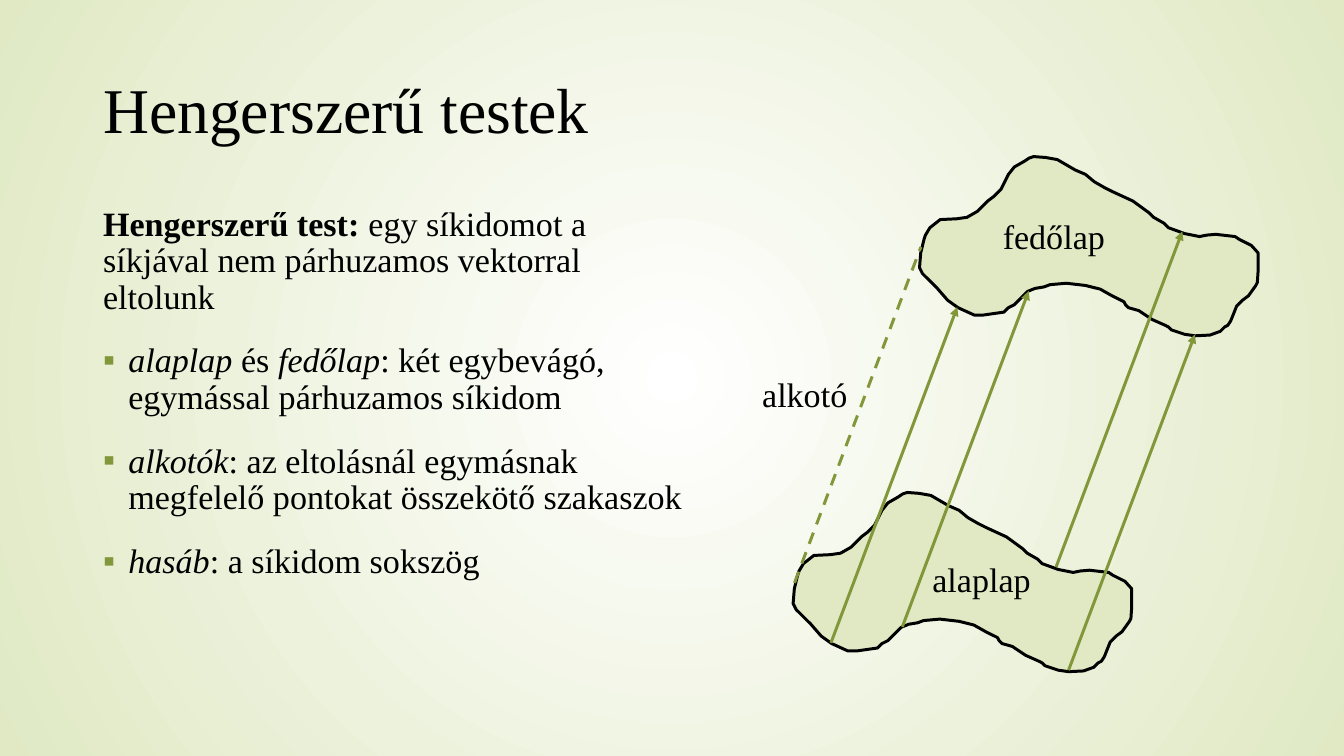
from math import cos, radians, sin

from lxml import etree
from pptx import Presentation
from pptx.dml.color import RGBColor
from pptx.enum.dml import MSO_LINE
from pptx.enum.shapes import MSO_CONNECTOR
from pptx.enum.text import MSO_ANCHOR, MSO_AUTO_SIZE, PP_ALIGN
from pptx.oxml.ns import qn
from pptx.util import Pt

STRAIGHT = MSO_CONNECTOR.STRAIGHT
DASH = MSO_LINE.DASH
MIDDLE, LEFT = MSO_ANCHOR.MIDDLE, PP_ALIGN.LEFT
NO_FIT = MSO_AUTO_SIZE.NONE

COLORS = {"text": "000000", "centre": "FFFFFF", "edge": "E0E9C4",
          "face": "E0E9C4", "outline": "000000", "accent": "819739"}
FONT = "Times New Roman"
BODY_SIZE = 23
INDENT = 17

# Each paragraph: bulleted or not, then runs of (text, style)
BODY = [
    (False, [("Hengerszerű test: ", "b"),
             ("egy síkidomot a síkjával nem párhuzamos vektorral eltolunk", "")]),
    (True, [("alaplap", "i"), (" és ", ""), ("fedőlap", "i"),
            (": két egybevágó, egymással párhuzamos síkidom", "")]),
    (True, [("alkotók", "i"),
            (": az eltolásnál egymásnak megfelelő pontokat összekötő szakaszok", "")]),
    (True, [("hasáb", "i"), (": a síkidom sokszög", "")]),
]

# Outline of the tilted plane figure, in points from its top left corner
FACE = [
    (216, 56), (213, 54), (200, 52.5), (194, 53), (189, 54), (179, 52), (168, 48),
    (165, 45), (158, 41), (155, 38), (144, 30), (131, 24), (125, 21), (118, 17),
    (112, 12), (105, 9), (93, 2), (85, 0.6), (77, 0), (74, 1), (71, 3), (64, 7),
    (60, 12), (55, 22), (50, 27), (46, 30), (41, 35), (39, 37), (32, 41), (25, 42),
    (14, 42.5), (7, 48), (4, 53), (3, 56), (0.8, 65), (0, 75), (2, 79), (12, 89),
    (19, 97), (26, 102), (37, 107), (43, 107), (57, 105), (60, 102), (62, 101),
    (64, 100), (66, 98), (73, 91), (78, 89), (84, 88), (88, 86.5), (99, 85.5),
    (112, 87), (122, 89.5), (130, 94), (138, 98), (139, 100), (141, 102), (148, 104),
    (151, 106), (157, 110), (166, 114), (168, 115), (170, 117), (179, 120),
    (186, 121), (196, 120.5), (203, 118), (206, 115), (208, 114), (210, 111),
    (214, 101), (216, 99), (218, 97), (222, 94), (227, 87), (228, 85), (228.5, 78),
    (228.5, 65), (224, 60), (220, 58),
]
FACE_CENTRE = (116.3, 63.7)
TILT = 10.7
SHIFT = (85.3, -226.8)  # translation from the base to the top face
ARROW_STARTS = [(25.6, 101.5), (73.8, 90.7), (177.5, 50.4), (186, 120)]
DASHED_START = (1, 61)


def rgb(name):
    return RGBColor.from_string(COLORS[name])


def style_run(r, size, style=""):
    r.font.name, r.font.size = FONT, Pt(size)
    r.font.color.rgb = rgb("text")
    r.font.bold, r.font.italic = style == "b", style == "i"


def place(sp, box):
    sp.left, sp.top, sp.width, sp.height = (Pt(v) for v in box)


def set_background(s):
    fill = s.background.fill
    fill.gradient()
    for stop, name, position in zip(fill.gradient_stops, ("centre", "edge"), (0, 1)):
        stop.color.rgb, stop.position = rgb(name), position
    grad = s.background._cSld.find(".//" + qn("a:gradFill"))
    for lin in grad.findall(qn("a:lin")):
        grad.remove(lin)
    radial = etree.SubElement(grad, qn("a:path"), path="circle")
    etree.SubElement(radial, qn("a:fillToRect"), l="50000", t="50000", r="50000", b="50000")


def add_title(s, box):
    sp = s.shapes.title
    place(sp, box)
    tf = sp.text_frame
    tf.text = "Hengerszerű testek"
    tf.vertical_anchor, tf.auto_size = MIDDLE, NO_FIT
    p = tf.paragraphs[0]
    p.alignment, p.line_spacing = LEFT, 0.9
    style_run(p.runs[0], 43)


def set_bullet(p, bulleted):
    pPr = p._p.get_or_add_pPr()
    indent = Pt(INDENT) if bulleted else 0
    pPr.set("marL", str(indent))
    pPr.set("indent", str(-indent))
    if bulleted:
        color = etree.SubElement(pPr, qn("a:buClr"))
        etree.SubElement(color, qn("a:srgbClr"), val=COLORS["accent"])
        etree.SubElement(pPr, qn("a:buChar"), char="▪")
    else:
        etree.SubElement(pPr, qn("a:buNone"))


def add_body(s, box):
    sp = s.placeholders[1]
    place(sp, box)
    tf = sp.text_frame
    tf.auto_size = NO_FIT
    for i, (bulleted, runs) in enumerate(BODY):
        p = tf.add_paragraph() if i else tf.paragraphs[0]
        p.line_spacing, p.space_before = 0.9, Pt(18)
        set_bullet(p, bulleted)
        for text, style in runs:
            r = p.add_run()
            r.text = text
            style_run(r, BODY_SIZE, style)


def level(points):
    """Turn the tilted points back to level about the face centre."""
    cx, cy = FACE_CENTRE
    c, d = cos(radians(TILT)), sin(radians(TILT))
    return [(cx + c * (x - cx) + d * (y - cy), cy - d * (x - cx) + c * (y - cy))
            for x, y in points]


def add_face(s, x, y):
    points = [(Pt(x + dx), Pt(y + dy)) for dx, dy in level(FACE)]
    builder = s.shapes.build_freeform(*points[0])
    builder.add_line_segments(points[1:], close=True)
    sp = builder.convert_to_shape()
    sp.rotation = TILT
    sp.shadow.inherit = False
    sp.fill.solid()
    sp.fill.fore_color.rgb = rgb("face")
    sp.line.color.rgb, sp.line.width = rgb("outline"), Pt(2)


def add_generator(s, x, y, dashed=False):
    line = s.shapes.add_connector(STRAIGHT, Pt(x), Pt(y), Pt(x + SHIFT[0]), Pt(y + SHIFT[1]))
    line.line.color.rgb, line.line.width = rgb("accent"), Pt(2)
    if dashed:
        line.line.dash_style = DASH
    else:
        etree.SubElement(line.line._get_or_add_ln(), qn("a:tailEnd"), type="triangle")
    etree.SubElement(line._element.spPr, qn("a:effectLst"))


def add_label(s, text, x, y):
    sp = s.shapes.add_textbox(Pt(x), Pt(y), Pt(98.6), Pt(35.3))
    tf = sp.text_frame
    tf.word_wrap = True
    tf.text = text
    style_run(tf.paragraphs[0].runs[0], BODY_SIZE)


def add_solid(s, x, y):
    """Cylinder-like solid; x, y is the corner of the base face."""
    # Top and base faces
    add_face(s, x + SHIFT[0], y + SHIFT[1])
    add_face(s, x, y)
    # Generators
    for dx, dy in ARROW_STARTS:
        add_generator(s, x + dx, y + dy)
    add_generator(s, x + DASHED_START[0], y + DASHED_START[1], dashed=True)
    # Labels
    for text, dx, dy in (("fedőlap", 134.5, -190.8), ("alaplap", 87, 40.8),
                         ("alkotó", -27.9, -84.2)):
        add_label(s, text, x + dx, y + dy)


def main():
    prs = Presentation()
    prs.slide_width, prs.slide_height = Pt(907.2), Pt(510.48)
    s = prs.slides.add_slide(prs.slide_layouts[1])
    set_background(s)
    add_title(s, (62.4, 27, 782.64, 98.64))
    add_body(s, (62.4, 135.9, 415.44, 326.16))
    add_solid(s, 535.3, 332.6)
    prs.save("out.pptx")


if __name__ == "__main__":
    main()
